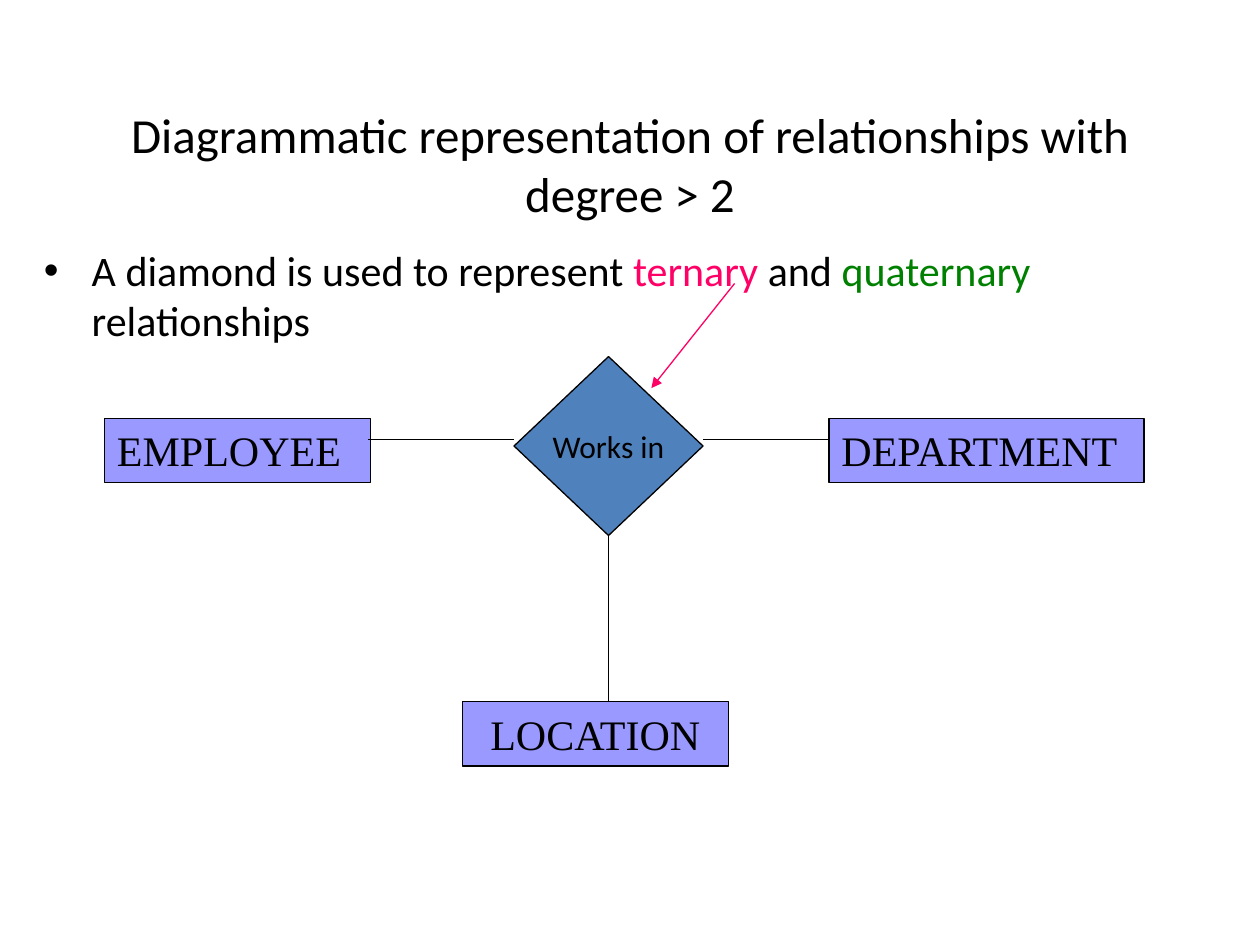
from lxml.etree import SubElement
from pptx import Presentation
from pptx.dml.color import RGBColor
from pptx.enum.shapes import MSO_CONNECTOR, MSO_SHAPE
from pptx.enum.text import MSO_ANCHOR, PP_ALIGN
from pptx.oxml.ns import qn
from pptx.util import Inches, Pt

BLACK, PINK, GREEN = "000000", "FF0066", "008000"
LILAC, BLUE = "9999FF", "4F81BD"
SANS, SERIF = "Calibri", "Times New Roman"
LEFT, MID = PP_ALIGN.LEFT, PP_ALIGN.CENTER

TITLE = [("Diagrammatic representation of relationships with degree > 2", BLACK)]
POINT = [
    ("A diamond is used to represent ", BLACK),
    ("ternary ", PINK),
    ("and ", BLACK),
    ("quaternary ", GREEN),
    ("relationships", BLACK),
]
ENTITIES = [
    ("EMPLOYEE", 0.83, 3.32, 2.11, LEFT),
    ("DEPARTMENT", 6.58, 3.32, 2.5, LEFT),
    ("LOCATION", 3.67, 5.57, 2.11, MID),
]
DIAMOND = ("Works in", 4.08, 2.83, 1.5, 1.42)
LINKS = [
    (2.92, 3.49, 4.08, 3.49),
    (5.58, 3.49, 6.58, 3.49),
    (4.83, 4.24, 4.83, 5.57),
]
ARROW = (5.83, 2.25, 5.17, 3.08)


def color(code):
    """Turn a hex string into a colour."""
    return RGBColor.from_string(code)


def apply(item, values):
    """Set each value as an attribute of the item."""
    for key, value in values.items():
        setattr(item, key, value)


def write(shape, runs, size, face, align, **frame):
    """Fill a shape with one paragraph of coloured runs."""
    apply(shape.text_frame, {"word_wrap": True, **frame})
    para = shape.text_frame.paragraphs[0]
    para.alignment = align
    for text, code in runs:
        run = para.add_run()
        run.text = text
        apply(run.font, {"size": Pt(size), "name": face})
        run.font.color.rgb = color(code)
    return para


def label(slide, box, *text, **frame):
    """Add a text box and return its paragraph."""
    shape = slide.shapes.add_textbox(*map(Inches, box))
    return write(shape, *text, **frame)


def bullet(para):
    """Give a paragraph a hanging bullet."""
    props = para._p.get_or_add_pPr()
    apply_indent = {"marL": Inches(0.38), "indent": Inches(-0.38)}
    for key, value in apply_indent.items():
        props.set(key, str(value))
    SubElement(props, qn("a:buFont"), typeface="Arial")
    SubElement(props, qn("a:buChar"), char="•")


def node(slide, kind, box, fill):
    """Add a filled shape with a thin black outline."""
    shape = slide.shapes.add_shape(kind, *map(Inches, box))
    shape.shadow.inherit = False
    shape.fill.solid()
    shape.fill.fore_color.rgb = color(fill)
    shape.line.color.rgb = color(BLACK)
    shape.line.width = Pt(0.75)
    return shape


def link(slide, ends, code=BLACK, head=False):
    """Join two points with a thin line, with an arrowhead if asked."""
    line = slide.shapes.add_connector(MSO_CONNECTOR.STRAIGHT, *map(Inches, ends))
    line.line.color.rgb = color(code)
    line.line.width = Pt(0.75)
    if head:
        SubElement(line.line._get_or_add_ln(), qn("a:tailEnd"), type="triangle")
    SubElement(line._element.spPr, qn("a:effectLst"))


def main():
    """Build the slide and save it."""
    deck = Presentation()
    apply(deck, {"slide_width": Inches(10), "slide_height": Inches(7.5)})
    slide = deck.slides.add_slide(deck.slide_layouts[6])

    label(slide, (0.5, 0.67, 9, 1.25), TITLE, 28, SANS, MID,
          vertical_anchor=MSO_ANCHOR.MIDDLE)
    bullet(label(slide, (0.25, 1.89, 9.5, 0.92), POINT, 24, SANS, LEFT))

    for name, left, top, width, align in ENTITIES:
        shape = node(slide, MSO_SHAPE.RECTANGLE, (left, top, width, 0.51), LILAC)
        write(shape, [(name, BLACK)], 24, SERIF, align,
              vertical_anchor=MSO_ANCHOR.TOP)
    for ends in LINKS:
        link(slide, ends)

    name, *box = DIAMOND
    shape = node(slide, MSO_SHAPE.DIAMOND, box, BLUE)
    write(shape, [(name, BLACK)], 18, SANS, MID, word_wrap=False,
          vertical_anchor=MSO_ANCHOR.MIDDLE)
    link(slide, ARROW, PINK, head=True)
    deck.save("out.pptx")


if __name__ == "__main__":
    main()
